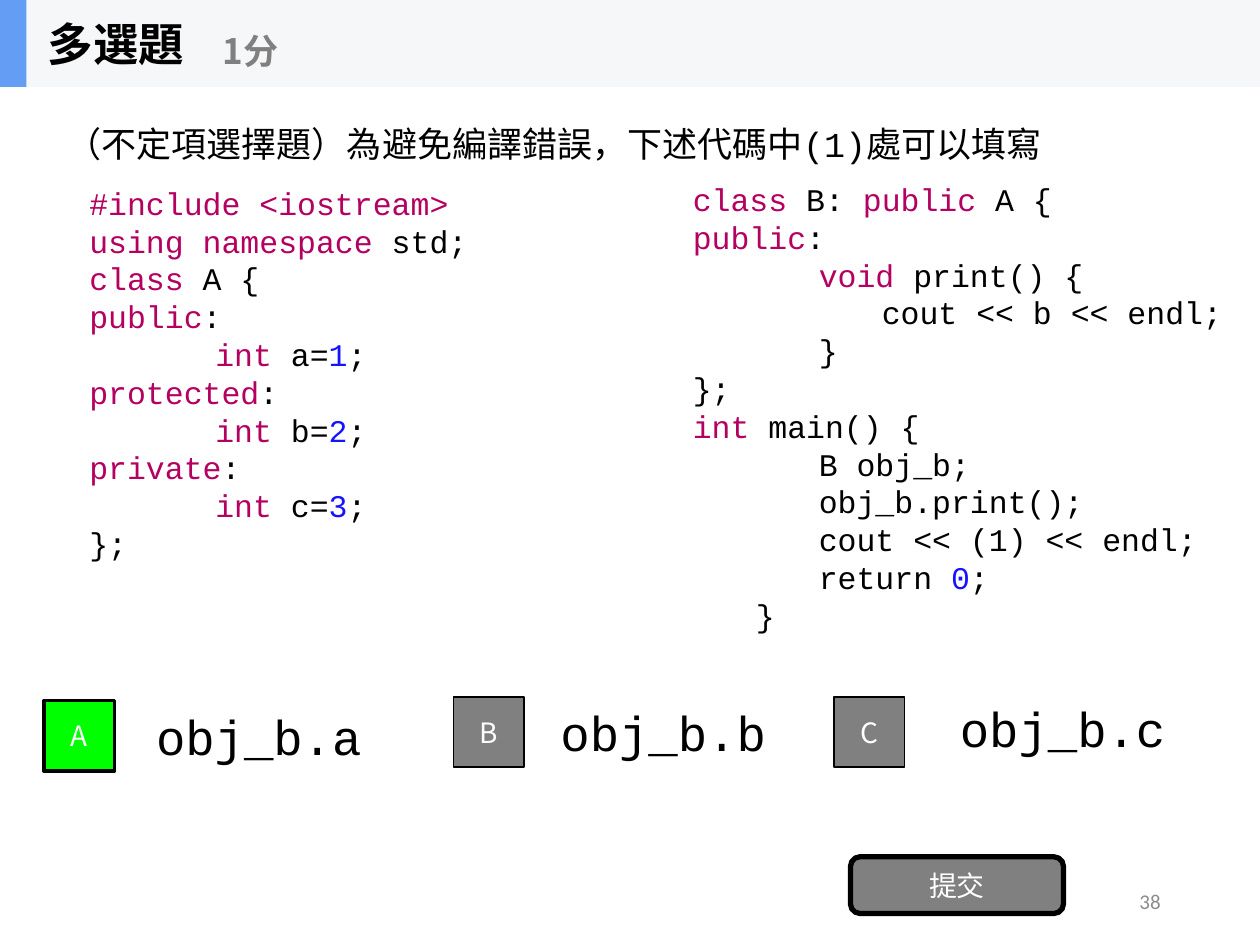
from pptx import Presentation
from pptx.dml.color import RGBColor
from pptx.enum.shapes import MSO_SHAPE
from pptx.enum.text import MSO_ANCHOR, PP_ALIGN
from pptx.oxml.ns import qn
from pptx.util import Inches, Pt

BLACK = RGBColor(0x00, 0x00, 0x00)
WHITE = RGBColor(0xFF, 0xFF, 0xFF)
GRAY = RGBColor(0x80, 0x80, 0x80)
PAGE_GRAY = RGBColor(0x8C, 0x8C, 0x8C)
GREEN = RGBColor(0x00, 0xFF, 0x00)
HEADER = RGBColor(0xF6, 0xF7, 0xF8)
ACCENT = RGBColor(0x63, 0x9E, 0xF4)
KEYWORD = RGBColor(0xB4, 0x00, 0x61)
NUMBER = RGBColor(0x16, 0x14, 0xFF)

CODE_FONT = "Courier New"
CJK_FONT = "Noto Sans CJK SC"

CODE_MARGIN = 0.44
TAB = 0.5

# Each line: depth in tabs, then (text, colour) runs.
CLASS_A = [
    (0, [("#include <iostream>", KEYWORD)]),
    (0, [("using namespace ", KEYWORD), ("std;", BLACK)]),
    (0, [("class ", KEYWORD), ("A {", BLACK)]),
]
for access, name, value in (("public", "a", "1"), ("protected", "b", "2"),
                            ("private", "c", "3")):
    CLASS_A += [
        (0, [(access, KEYWORD), (":", BLACK)]),
        (2, [("int ", KEYWORD), (f"{name}=", BLACK), (value, NUMBER), (";", BLACK)]),
    ]
CLASS_A.append((0, [("};", BLACK)]))

CLASS_B_AND_MAIN = [
    (0, [("class ", KEYWORD), ("B: ", BLACK), ("public ", KEYWORD), ("A {", BLACK)]),
    (0, [("public", KEYWORD), (":", BLACK)]),
    (2, [("void ", KEYWORD), ("print() {", BLACK)]),
    (3, [("cout << b << endl;", BLACK)]),
    (2, [("}", BLACK)]),
    (0, [("};", BLACK)]),
    (0, [("int ", KEYWORD), ("main() {", BLACK)]),
    (2, [("B obj_b;", BLACK)]),
    (2, [("obj_b.print();", BLACK)]),
    (2, [("cout << (1) << endl;", BLACK)]),
    (2, [("return ", BLACK), ("0", NUMBER), (";", BLACK)]),
    (1, [("}", BLACK)]),
]

# Letter, badge left and top, fill, line width, answer, answer left, top and width.
OPTIONS = [
    ("A", 0.35, 5.56, GREEN, 2, "obj_b.a", 1.14, 5.49, 7),
    ("B", 3.6, 5.53, GRAY, 1, "obj_b.b", 4.35, 5.46, 2.06),
    ("C", 6.62, 5.53, GRAY, 1, "obj_b.c", 7.52, 5.43, 2.2),
]


def format_run(run, size, font_name, color, bold=False):
    """Style a run, with the CJK font for its East Asian characters."""
    font = run.font
    font.size = Pt(size)
    font.name = font_name
    font.bold = bold
    font.color.rgb = color
    latin = run._r.rPr.find(qn("a:latin"))
    east_asian = latin.makeelement(qn("a:ea"), {"typeface": CJK_FONT})
    latin.addnext(east_asian)


def write_line(shape, text, size, font_name, color, align=PP_ALIGN.LEFT, bold=False):
    """Put one vertically centred line of text in a shape."""
    text_frame = shape.text_frame
    text_frame.word_wrap = True
    text_frame.vertical_anchor = MSO_ANCHOR.MIDDLE
    text_frame.text = text
    paragraph = text_frame.paragraphs[0]
    paragraph.alignment = align
    format_run(paragraph.runs[0], size, font_name, color, bold)


def add_textbox(slide, left, top, width, height):
    return slide.shapes.add_textbox(Inches(left), Inches(top), Inches(width), Inches(height))


def add_label(slide, box, text, size, font_name, color, **style):
    write_line(add_textbox(slide, *box), text, size, font_name, color, **style)


def add_block(slide, kind, box, fill, line_width=0):
    shape = slide.shapes.add_shape(kind, *(Inches(length) for length in box))
    shape.shadow.inherit = False
    shape.fill.solid()
    shape.fill.fore_color.rgb = fill
    if line_width:
        shape.line.color.rgb = BLACK
        shape.line.width = Pt(line_width)
    else:
        shape.line.fill.background()
    return shape


def add_button(slide, kind, box, fill, line_width, text):
    shape = add_block(slide, kind, box, fill, line_width)
    write_line(shape, text, 16, CJK_FONT, WHITE, align=PP_ALIGN.CENTER)


def add_code(slide, box, lines):
    text_frame = add_textbox(slide, *box).text_frame
    text_frame.word_wrap = True
    for index, (depth, runs) in enumerate(lines):
        paragraph = text_frame.add_paragraph() if index else text_frame.paragraphs[0]
        paragraph.line_spacing = Pt(21.6)
        properties = paragraph._p.get_or_add_pPr()
        properties.set("marL", str(Inches(CODE_MARGIN + TAB * depth)))
        properties.set("indent", "0")
        for text, color in runs:
            run = paragraph.add_run()
            run.text = text
            format_run(run, 18, CODE_FONT, color)


def add_header(slide):
    add_block(slide, MSO_SHAPE.RECTANGLE, (0, 0, 10, 0.69), HEADER)
    add_block(slide, MSO_SHAPE.RECTANGLE, (0, 0, 0.21, 0.69), ACCENT)
    add_label(slide, (0.28, 0, 2.08, 0.69), "多選題", 26, CJK_FONT, BLACK, bold=True)
    add_label(slide, (1.67, 0.12, 2.5, 0.56), "1分", 20, CJK_FONT, GRAY, bold=True)


def add_options(slide):
    for letter, left, top, fill, line_width, answer, text_left, text_top, width in OPTIONS:
        add_label(slide, (text_left, text_top, width, 0.7), answer, 28, CODE_FONT, BLACK)
        add_button(slide, MSO_SHAPE.RECTANGLE, (left, top, 0.56, 0.56), fill,
                   line_width, letter)


def main():
    presentation = Presentation()
    presentation.slide_width = Inches(10)
    presentation.slide_height = Inches(7.5)
    slide = presentation.slides.add_slide(presentation.slide_layouts[6])

    add_label(slide, (7.06, 6.95, 2.25, 0.4), "38", 12, "Calibri", PAGE_GRAY,
              align=PP_ALIGN.RIGHT)
    add_label(slide, (0.43, 0.79, 8.72, 0.69),
              "（不定項選擇題）為避免編譯錯誤，下述代碼中(1)處可以填寫",
              20, CODE_FONT, BLACK, align=PP_ALIGN.JUSTIFY)
    add_options(slide)
    add_button(slide, MSO_SHAPE.ROUNDED_RECTANGLE, (6.75, 6.8, 1.69, 0.45), GRAY, 3, "提交")
    add_code(slide, (0.17, 1.41, 5.32, 3.43), CLASS_A)
    add_code(slide, (4.96, 1.38, 5, 3.74), CLASS_B_AND_MAIN)
    add_header(slide)

    presentation.save("out.pptx")


if __name__ == "__main__":
    main()
